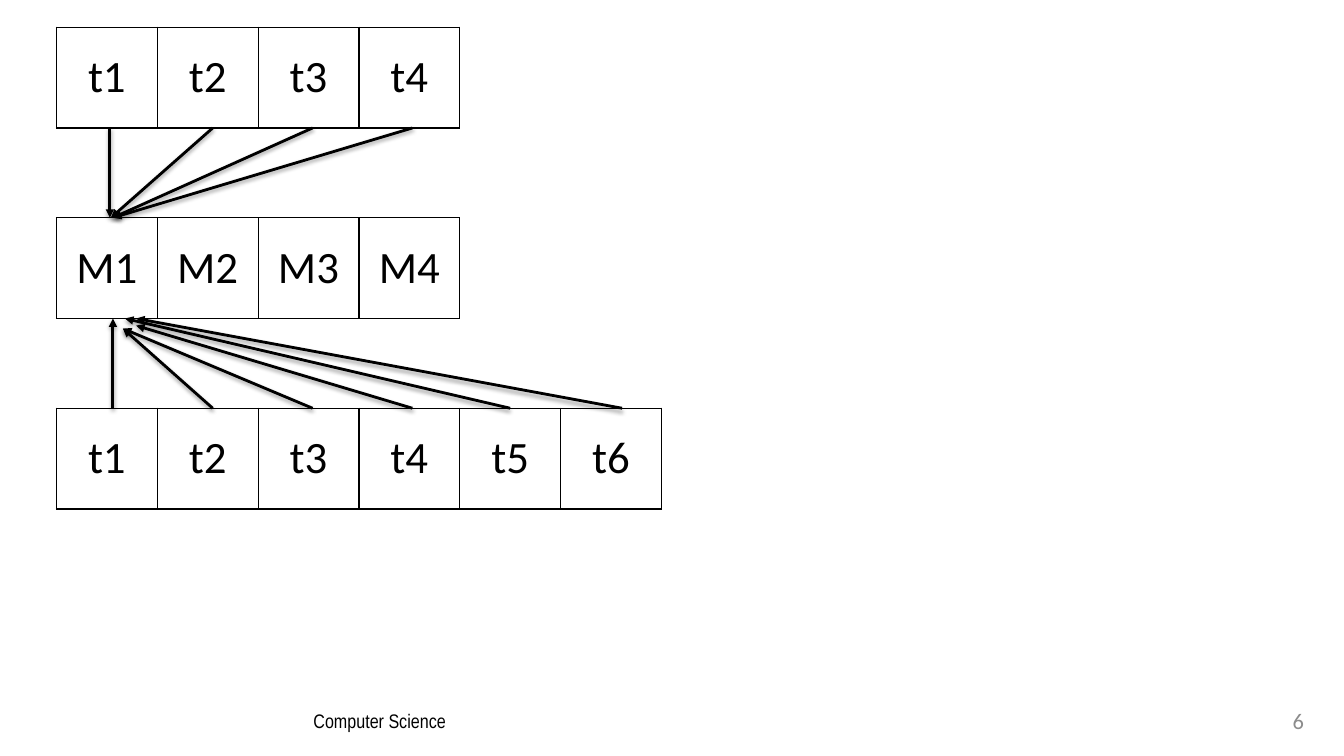
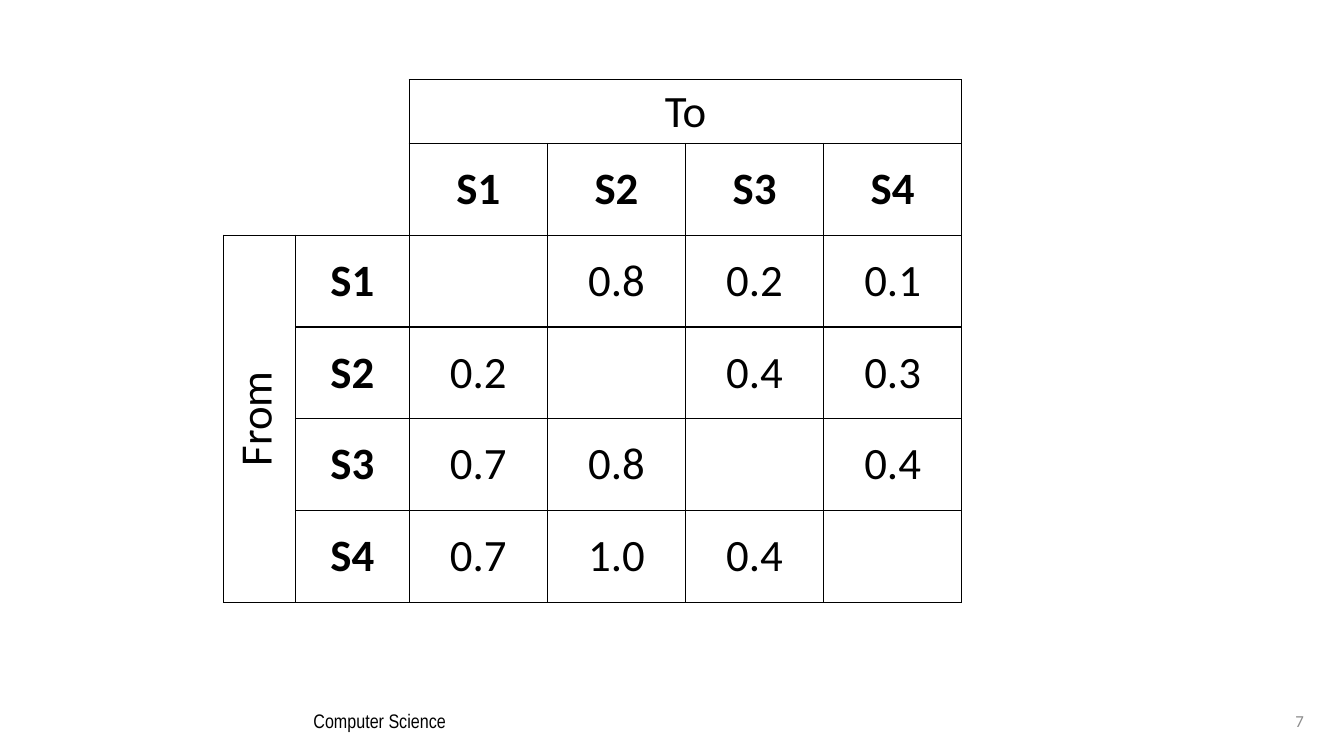
from lxml.etree import SubElement
from pptx import Presentation
from pptx.dml.color import RGBColor
from pptx.enum.shapes import MSO_CONNECTOR
from pptx.enum.text import MSO_ANCHOR, PP_ALIGN
from pptx.oxml.ns import qn
from pptx.util import Inches, Pt

# Content
FOOTER = "Computer Science"
PAGES = [("6", 16), ("7", 12)]  # number, text size
STRIPS = [
    ["t1", "t2", "t3", "t4"],
    ["M1", "M2", "M3", "M4"],
    ["t1", "t2", "t3", "t4", "t5", "t6"],
]
# Arrows into M1: start x, end x, gap between the head and the cell
DOWN = [(1.09, 1.09, 0), (2.11, 1.1, 0), (4.09, 1.12, 0), (3.1, 1.12, 0)]
UP = [(1.12, 1.12, 0), (2.11, 1.22, 0.1), (3.1, 1.22, 0.1),
      (4.09, 1.35, 0.07), (5.06, 1.24, 0), (6.17, 1.35, 0)]
STATES = ["S1", "S2", "S3", "S4"]
ODDS = [
    ["", "0.8", "0.2", "0.1"],
    ["0.2", "", "0.4", "0.3"],
    ["0.7", "0.8", "", "0.4"],
    ["0.7", "1.0", "0.4", ""],
]

# Shared look
WIDE, HIGH = 13.33, 7.5
BLACK, WHITE, GREY = "000000", "FFFFFF", "8C8C8C"
BODY = {"name": "Calibri", "size": Pt(32), "bold": False}
FOOT = {"name": "Arial Narrow", "size": Pt(14)}
NO_STYLE = "{2D5ABB26-0587-4C30-8999-92F81FD0307C}"

# Strip grid
LEFT, TOP, CELL, PITCH = 0.56, 0.27, 1, 1.89

deck = Presentation()
deck.slide_width, deck.slide_height = Inches(WIDE), Inches(HIGH)


def paint(hue):
    return RGBColor.from_string(hue)


def write(frame, text, look, hue=BLACK, align=PP_ALIGN.LEFT):
    para = frame.paragraphs[0]
    para.alignment = align
    run = para.add_run()
    run.text = text
    for key, value in look.items():
        setattr(run.font, key, value)
    run.font.color.rgb = paint(hue)


def label(slide, box, text, look, hue, align, anchor):
    frame = slide.shapes.add_textbox(*map(Inches, box)).text_frame
    frame.word_wrap = True
    frame.vertical_anchor = anchor
    write(frame, text, look, hue, align)


def page(number, size):
    slide = deck.slides.add_slide(deck.slide_layouts[6])
    label(slide, (3.01, 6.98, 2.49, 0.34), FOOTER, FOOT, BLACK,
          PP_ALIGN.LEFT, MSO_ANCHOR.TOP)
    label(slide, (WIDE - 2.3, 6.95, 2, 0.4), number,
          {"name": "Calibri", "size": Pt(size)}, GREY,
          PP_ALIGN.RIGHT, MSO_ANCHOR.MIDDLE)
    return slide


def edge(cell, side, shown):
    line = SubElement(cell._tc.get_or_add_tcPr(), qn("a:ln" + side),
                      w=str(Pt(1)))
    if shown:
        fill = SubElement(line, qn("a:solidFill"))
        SubElement(fill, qn("a:srgbClr"), val=BLACK)
    else:
        SubElement(line, qn("a:noFill"))


def dress(cell, text, sides="LRTB", bold=False):
    for side in "LRTB":
        edge(cell, side, side in sides)
    cell.fill.solid()
    cell.fill.fore_color.rgb = paint(WHITE)
    cell.vertical_anchor = MSO_ANCHOR.MIDDLE
    if text:
        write(cell.text_frame, text, {**BODY, "bold": bold},
              align=PP_ALIGN.CENTER)


def grid(slide, left, top, cols, rows):
    box = map(Inches, (left, top, sum(cols), sum(rows)))
    table = slide.shapes.add_table(len(rows), len(cols), *box).table
    table.first_row = table.horz_banding = False
    table._tbl.tblPr.find(qn("a:tableStyleId")).text = NO_STYLE
    for col, width in zip(table.columns, cols):
        col.width = Inches(width)
    for row, height in zip(table.rows, rows):
        row.height = Inches(height)
    return table


def arrow(slide, *ends):
    link = slide.shapes.add_connector(MSO_CONNECTOR.STRAIGHT,
                                      *map(Inches, ends))
    link.line.color.rgb = paint(BLACK)
    link.line.width = Pt(2)
    SubElement(link.line._get_or_add_ln(), qn("a:tailEnd"), type="triangle")
    glow = SubElement(link._element.spPr, qn("a:effectLst"))
    shade = SubElement(glow, qn("a:outerShdw"), blurRad=str(Pt(3.1)),
                       dist=str(Pt(1.6)), dir="5400000", rotWithShape="0")
    tint = SubElement(shade, qn("a:srgbClr"), val=BLACK)
    SubElement(tint, qn("a:alpha"), val="38000")


# Slide 1: strips and the arrows into M1
slide = page(*PAGES[0])
for i, names in enumerate(STRIPS):
    strip = grid(slide, LEFT, TOP + i * PITCH, [CELL] * len(names), [CELL])
    for j, name in enumerate(names):
        dress(strip.cell(0, j), name)
mid, low = TOP + PITCH, TOP + 2 * PITCH
for start, end, gap in DOWN:
    arrow(slide, start, TOP + CELL, end, mid - gap)
for start, end, gap in UP:
    arrow(slide, start, low, end, mid + CELL + gap)

# Slide 2: matrix of moves between states
slide = page(*PAGES[1])
count = len(STATES)
cells = [["", "", "To"] + [""] * (count - 1), ["", ""] + STATES]
for i, (state, odds) in enumerate(zip(STATES, ODDS)):
    cells.append(["" if i else "From", state] + odds)
table = grid(slide, 2.22, 0.79, [0.71, 1.13] + [1.37] * count,
             [0.58] + [0.91] * (count + 1))
last = count + 1
for first, end in [((0, 0), (1, 1)), ((0, 2), (0, last)), ((2, 0), (last, 0))]:
    table.cell(*first).merge(table.cell(*end))
for r, row in enumerate(cells):
    for c, text in enumerate(row):
        sides = "RB" if r < 2 and c < 2 else "LRTB"
        dress(table.cell(r, c), text, sides, text in STATES)
table.cell(2, 0)._tc.tcPr.set("vert", "vert270")

deck.save("out.pptx")
